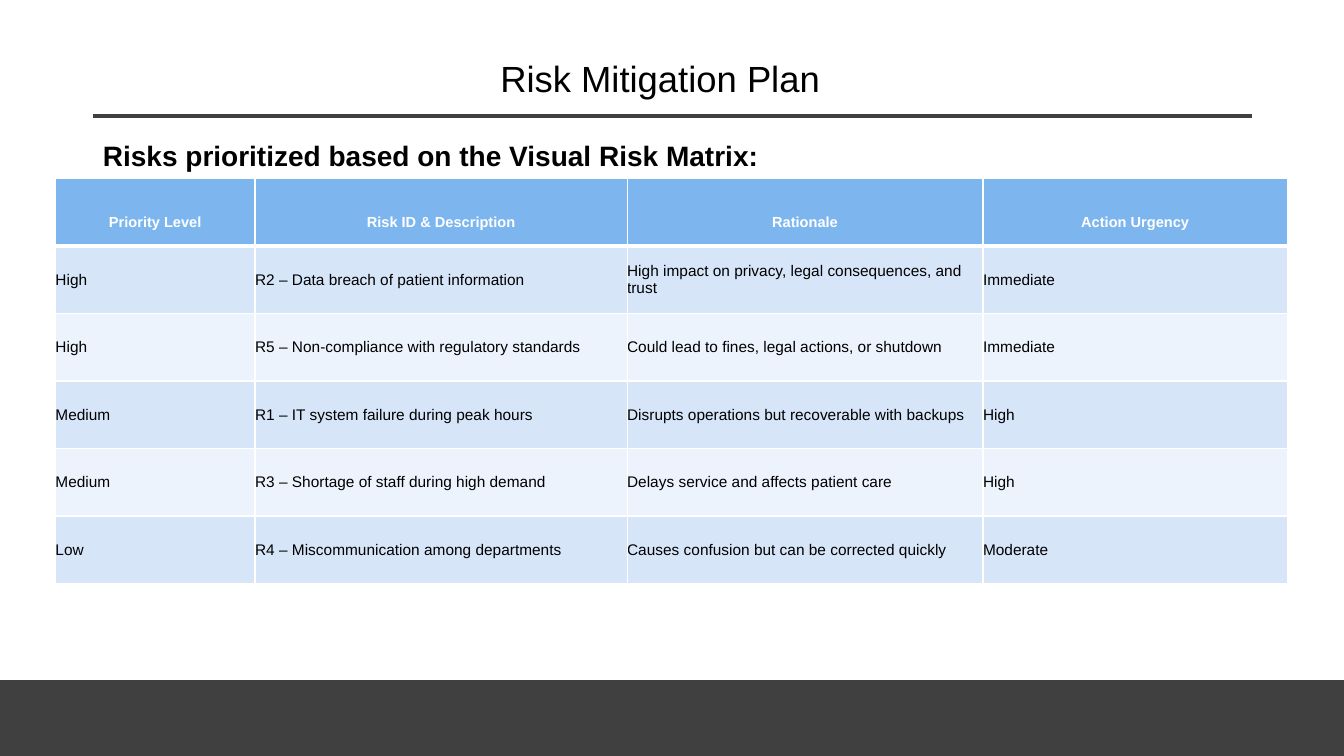
import lxml.etree
import pptx
import pptx.dml.color
import pptx.enum.shapes
import pptx.enum.text
import pptx.oxml.ns
import pptx.util

Inches = pptx.util.Inches
Align = pptx.enum.text.PP_ALIGN
Anchor = pptx.enum.text.MSO_ANCHOR

FONT = "Arial"
BLACK, WHITE, CHARCOAL = "000000", "FFFFFF", "404040"
HEADER_FILL, BAND_FILLS = "7DB6EF", ("D7E5F9", "ECF3FC")
COLUMN_WIDTHS = (1.98, 3.69, 3.53, 3.02)
ROW_HEIGHT = 0.67
RISKS = (
    ("Priority Level", "Risk ID & Description", "Rationale", "Action Urgency"),
    ("High", "R2 – Data breach of patient information",
     "High impact on privacy, legal consequences, and trust", "Immediate"),
    ("High", "R5 – Non-compliance with regulatory standards",
     "Could lead to fines, legal actions, or shutdown", "Immediate"),
    ("Medium", "R1 – IT system failure during peak hours",
     "Disrupts operations but recoverable with backups", "High"),
    ("Medium", "R3 – Shortage of staff during high demand",
     "Delays service and affects patient care", "High"),
    ("Low", "R4 – Miscommunication among departments",
     "Causes confusion but can be corrected quickly", "Moderate"),
)


def color(value):
    """Turn a hex string into a colour."""
    return pptx.dml.color.RGBColor.from_string(value)


def add_element(parent, tag, **attributes):
    """Append a drawing element to its parent."""
    return lxml.etree.SubElement(parent, pptx.oxml.ns.qn(tag), attributes)


def style(para, size, ink=BLACK, bold=False, align=Align.LEFT):
    """Set the font and alignment of a paragraph."""
    para.alignment = align
    para.font.name = FONT
    para.font.size = pptx.util.Pt(size)
    para.font.bold = bold
    para.font.color.rgb = color(ink)


def place(shape, box):
    """Move a shape to a box given in inches."""
    shape.left, shape.top, shape.width, shape.height = map(Inches, box)


def add_footer(page, box):
    """Draw the dark band in the given box."""
    band = page.shapes.add_shape(
        pptx.enum.shapes.MSO_SHAPE.RECTANGLE, *map(Inches, box))
    band.shadow.inherit = False
    band.fill.solid()
    band.fill.fore_color.rgb = color(CHARCOAL)
    band.line.color.rgb = color(CHARCOAL)
    band.line.width = pptx.util.Pt(1)


def add_rule(page, left, top, width):
    """Draw the horizontal line below the title."""
    rule = page.shapes.add_connector(
        pptx.enum.shapes.MSO_CONNECTOR.STRAIGHT,
        Inches(left), Inches(top), Inches(left + width), Inches(top))
    rule.line.color.rgb = color(CHARCOAL)
    rule.line.width = pptx.util.Pt(3)
    add_element(rule._element.spPr, "a:effectLst")


def fill_title(page, box, text):
    """Write the slide title in the given box."""
    title = page.shapes.title
    place(title, box)
    frame = title.text_frame
    frame.text = text
    frame.auto_size = pptx.enum.text.MSO_AUTO_SIZE.NONE
    frame.vertical_anchor = Anchor.MIDDLE
    style(frame.paragraphs[0], 26, align=Align.CENTER)


def fill_lead(page, box, text):
    """Write the unbulleted lead line in the given box."""
    lead = page.placeholders[1]
    place(lead, box)
    frame = lead.text_frame
    frame.text = text
    frame.auto_size = pptx.enum.text.MSO_AUTO_SIZE.NONE
    frame.vertical_anchor = Anchor.TOP
    para = frame.paragraphs[0]
    para.space_before = pptx.util.Pt(0)
    properties = para._p.get_or_add_pPr()
    properties.set("marL", "0")
    properties.set("indent", "0")
    add_element(properties, "a:buNone")
    style(para, 20, bold=True)


def set_borders(cell, top, bottom):
    """Give a cell white borders, with top and bottom widths in points."""
    properties = cell._tc.get_or_add_tcPr()
    for side, points in (("L", 1), ("R", 1), ("T", top), ("B", bottom)):
        line = add_element(properties, f"a:ln{side}", w=str(pptx.util.Pt(points)))
        add_element(add_element(line, "a:solidFill"), "a:srgbClr", val=WHITE)


def fill_cell(cell, text, row):
    """Write and format one table cell according to its row."""
    header = row == 0
    set_borders(cell, 3 if row == 1 else 1, 3 if header else 1)
    cell.fill.solid()
    cell.fill.fore_color.rgb = color(HEADER_FILL if header else BAND_FILLS[(row - 1) % 2])
    cell.vertical_anchor = Anchor.MIDDLE
    inset = Inches(0.01 if header else 0)
    cell.margin_left = cell.margin_right = inset
    cell.margin_top = cell.margin_bottom = inset
    cell.text = text
    para = cell.text_frame.paragraphs[0]
    if header:
        para.line_spacing = 1.15
        style(para, 18, WHITE, True, Align.CENTER)
        para.runs[0]._r.get_or_add_rPr().set("baseline", "-25000")
    else:
        style(para, 11)


def add_risk_table(page, left, top):
    """Build the risk table from its upper left corner."""
    table = page.shapes.add_table(
        len(RISKS), len(COLUMN_WIDTHS), Inches(left), Inches(top),
        Inches(sum(COLUMN_WIDTHS)), Inches(ROW_HEIGHT * len(RISKS))).table
    for column, width in zip(table.columns, COLUMN_WIDTHS):
        column.width = Inches(width)
    for row, texts in enumerate(RISKS):
        table.rows[row].height = Inches(ROW_HEIGHT)
        for column, text in enumerate(texts):
            fill_cell(table.cell(row, column), text, row)


def main():
    """Build and save the slide."""
    deck = pptx.Presentation()
    deck.slide_width, deck.slide_height = Inches(13.33), Inches(7.5)
    page = deck.slides.add_slide(deck.slide_layouts[1])
    page.background.fill.solid()
    page.background.fill.fore_color.rgb = color(WHITE)
    add_footer(page, (0, 6.75, 13.33, 0.75))
    add_rule(page, 0.92, 1.15, 11.5)
    fill_title(page, (0.8, 0.4, 11.5, 0.75), "Risk Mitigation Plan")
    fill_lead(page, (0.92, 1.32, 11.5, 0.46),
              "Risks prioritized based on the Visual Risk Matrix:")
    add_risk_table(page, 0.55, 1.77)
    deck.save("out.pptx")


if __name__ == "__main__":
    main()
